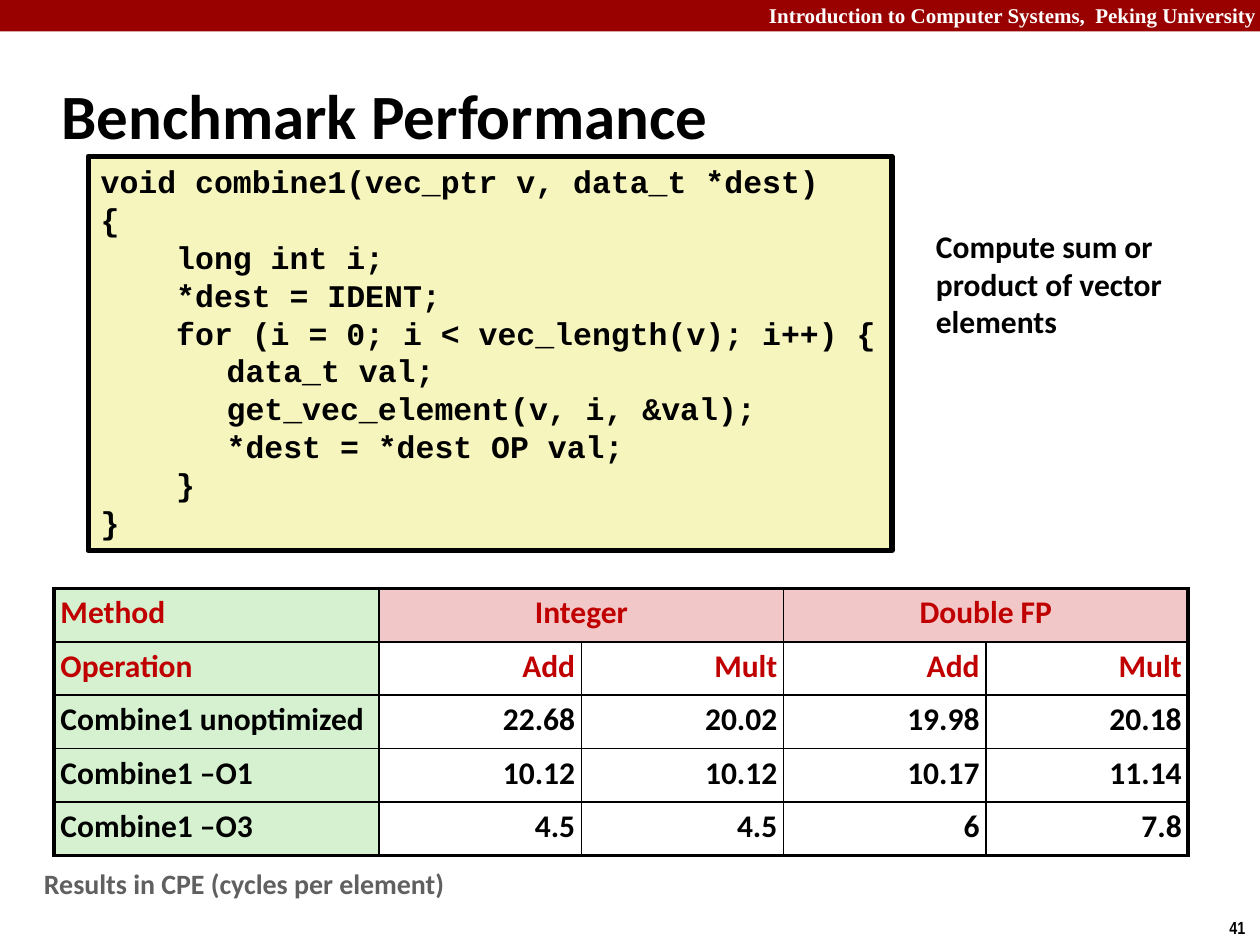
import pptx
import pptx.dml.color
import pptx.enum.shapes
import pptx.enum.text
import pptx.oxml.ns
import pptx.util
from lxml import etree

COLORS = {
    "banner": "990000", "white": "FFFFFF", "black": "000000", "listing": "F6F5BD",
    "label": "D5F1CF", "group": "F1C7C7", "heading": "C00000", "note": "606060",
}
ALIGN = {
    "l": pptx.enum.text.PP_ALIGN.LEFT,
    "c": pptx.enum.text.PP_ALIGN.CENTER,
    "r": pptx.enum.text.PP_ALIGN.RIGHT,
}
COLUMNS, ROWS = 100, 75

COMBINE1 = [  # (indent in grid columns, text)
    (0, "void combine1(vec_ptr v, data_t *dest)"),
    (0, "{"),
    (6, "long int i;"),
    (6, "*dest = IDENT;"),
    (6, "for (i = 0; i < vec_length(v); i++) {"),
    (10, "data_t val;"),
    (10, "get_vec_element(v, i, &val);"),
    (10, "*dest = *dest OP val;"),
    (6, "}"),
    (0, "}"),
]
RESULTS = [
    ["Method", "Integer", "", "Double FP", ""],
    ["Operation", "Add", "Mult", "Add", "Mult"],
    ["Combine1 unoptimized", "22.68", "20.02", "19.98", "20.18"],
    ["Combine1 –O1", "10.12", "10.12", "10.17", "11.14"],
    ["Combine1 –O3", "4.5", "4.5", "6", "7.8"],
]


def rgb(name):
    return pptx.dml.color.RGBColor.from_string(COLORS[name])


class Deck:
    """Style, grid and current slide; lengths are grid columns and rows."""

    def __init__(self):
        self.prs = pptx.Presentation()
        self.prs.slide_width = pptx.util.Inches(10)
        self.prs.slide_height = pptx.util.Inches(7.5)
        self.font = "Calibri"
        self.slide = self.prs.slides.add_slide(self.prs.slide_layouts[6])

    def x(self, columns):
        return round(self.prs.slide_width * columns / COLUMNS)

    def y(self, rows):
        return round(self.prs.slide_height * rows / ROWS)

    def place(self, at):
        left, top, width, height = at
        return self.x(left), self.y(top), self.x(width), self.y(height)

    def styled_run(self, p, text, size, color="black", font=None, align="l"):
        p.alignment = ALIGN[align]
        r = p.add_run()
        r.text = text
        r.font.name = font or self.font
        r.font.size = pptx.util.Pt(size)
        r.font.bold = True
        r.font.color.rgb = rgb(color)

    def rect(self, at, fill, line=None):
        sp = self.slide.shapes.add_shape(
            pptx.enum.shapes.MSO_SHAPE.RECTANGLE, *self.place(at))
        sp.shadow.inherit = False
        sp.fill.solid()
        sp.fill.fore_color.rgb = rgb(fill)
        if line:
            sp.line.color.rgb = rgb("black")
            sp.line.width = pptx.util.Pt(line)
        else:
            sp.line.fill.background()
        return sp

    def text(self, at, text, size, wrap=True, middle=False, **style):
        tf = self.slide.shapes.add_textbox(*self.place(at)).text_frame
        tf.word_wrap = wrap
        if middle:
            tf.vertical_anchor = pptx.enum.text.MSO_ANCHOR.MIDDLE
        self.styled_run(tf.paragraphs[0], text, size, **style)

    def listing(self, at, lines):
        tf = self.rect(at, "listing", line=3).text_frame
        tf.word_wrap = False
        tf.vertical_anchor = pptx.enum.text.MSO_ANCHOR.TOP
        for i, (indent, line) in enumerate(lines):
            p = tf.add_paragraph() if i else tf.paragraphs[0]
            p._p.get_or_add_pPr().set("marL", str(self.x(indent)))
            self.styled_run(p, line, 18, font="Courier New")

    def border(self, cell, side, width):
        qn = pptx.oxml.ns.qn
        ln = etree.SubElement(cell._tc.get_or_add_tcPr(), qn("a:ln" + side),
                              w=str(pptx.util.Pt(width)))
        fill = etree.SubElement(ln, qn("a:solidFill"))
        etree.SubElement(fill, qn("a:srgbClr"), val=COLORS["black"])

    def table(self, at, first_column, data):
        """Table whose top row spans pairs of columns after the first."""
        n_rows, n_cols = len(data), len(data[0])
        width, height = at[2:]
        table = self.slide.shapes.add_table(n_rows, n_cols, *self.place(at)).table
        for j, column in enumerate(table.columns):
            column.width = self.x((width - first_column) / (n_cols - 1)
                                  if j else first_column)
        for i, row in enumerate(table.rows):
            row.height = self.y(height / n_rows)
            for j, cell in enumerate(row.cells):
                last = n_cols - 2 if i == 0 else n_cols - 1
                edges = {"L": j == 0, "R": j >= last,
                         "T": i == 0, "B": i == n_rows - 1}
                for side, outer in edges.items():
                    self.border(cell, side, 2.25 if outer else 1)
                cell.fill.solid()
                cell.fill.fore_color.rgb = rgb(
                    "label" if j == 0 else "group" if i == 0 else "white")
                cell.margin_left = cell.margin_right = self.x(0.5)
                cell.margin_top = cell.margin_bottom = self.y(0.5)
                p = cell.text_frame.paragraphs[0]
                p.line_spacing = 0.95
                if data[i][j]:
                    self.styled_run(p, data[i][j], 18,
                                    color="heading" if i < 2 else "black",
                                    align="l" if j == 0 else "c" if i == 0 else "r")
        for j in range(1, n_cols, 2):
            table.cell(0, j).merge(table.cell(0, j + 1))


def main():
    deck = Deck()
    deck.rect((0, 0, 100, 2.5), "banner")
    deck.text((60, -0.3, 40.7, 3),
              "Introduction to Computer Systems,  Peking University ", 12,
              color="white", font="Times New Roman", align="r")
    deck.text((96.6, 72.3, 3.4, 2.7), "41", 10, wrap=False, font="Arial Narrow")
    deck.text((3.9, 4.9, 83, 8.3), "Benchmark Performance", 36, middle=True)
    deck.listing((7, 12.4, 63.8, 31.3), COMBINE1)
    deck.text((73.3, 17.5, 26.7, 10.1),
              "Compute sum or product of vector elements", 18)
    deck.table((4.3, 46.7, 90, 21.2), 25.8, RESULTS)
    deck.text((2.5, 68.3, 59.2, 3.7), "Results in CPE (cycles per element)", 16,
              color="note")
    deck.prs.save("out.pptx")


if __name__ == "__main__":
    main()
